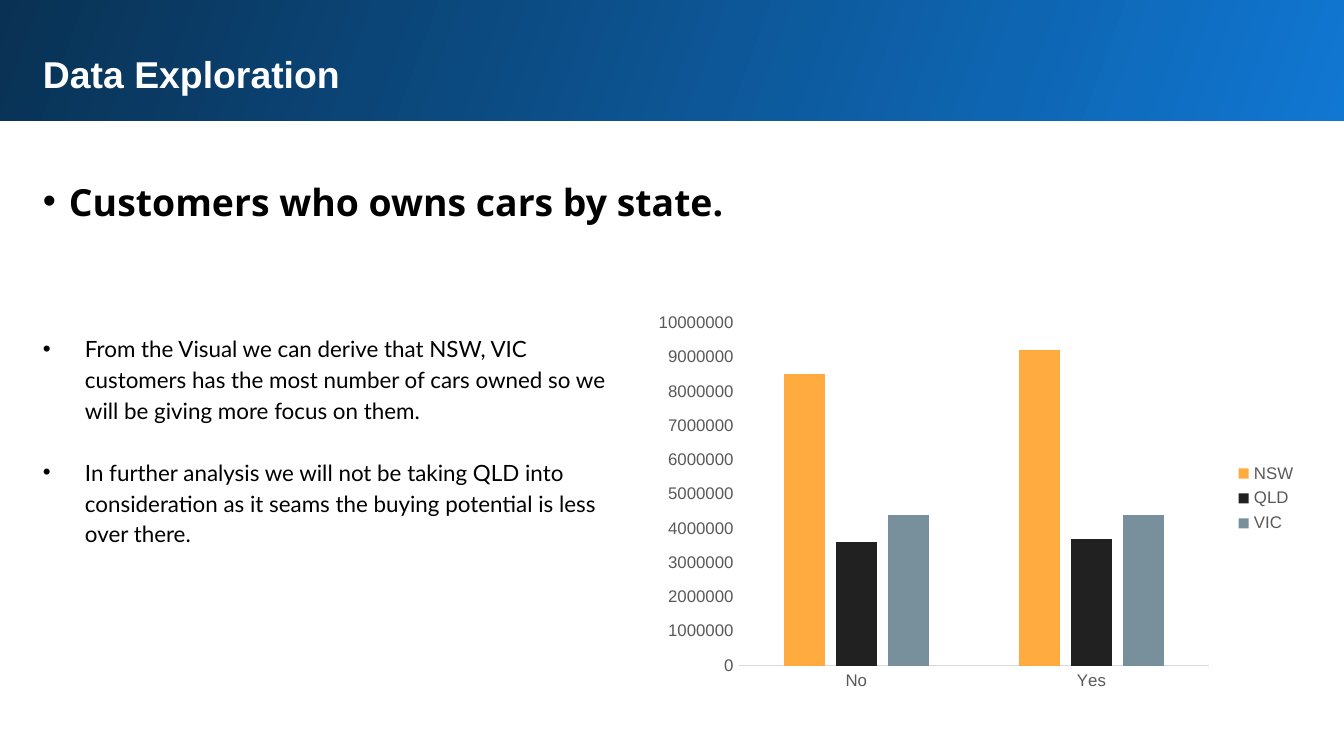
import pptx
import pptx.chart.data
import pptx.dml.color
import pptx.enum.chart
import pptx.enum.shapes
import pptx.oxml
import pptx.oxml.ns
import pptx.util
import lxml.etree

SCALE = 914400 / 134.4
COLORS = {
    "white": "FFFFFF", "black": "000000", "bright_blue": "1077D2", "navy": "093153",
    "label": "595959", "axis": "D9D9D9",
    "NSW": "FFAB40", "QLD": "212121", "VIC": "78909C",
}


def color(name):
    return pptx.dml.color.RGBColor.from_string(COLORS[name])


def add_text(box, lines, font_name, size, color_name, bold=False, indent=0, gap=0):
    shape = slide.shapes.add_textbox(*[round(value * SCALE) for value in box])
    frame = shape.text_frame
    frame.word_wrap = True
    frame.margin_left = frame.margin_right = round(13 * SCALE)
    frame.margin_top = frame.margin_bottom = round(13 * SCALE)
    for index, line in enumerate(lines):
        paragraph = frame.add_paragraph() if index else frame.paragraphs[0]
        paragraph.text = line
        paragraph.font.name = font_name
        paragraph.font.size = pptx.util.Pt(size)
        paragraph.font.bold = bold
        paragraph.font.color.rgb = color(color_name)
        if index:
            paragraph.space_before = pptx.util.Pt(gap)
        if indent:
            paragraph.line_spacing = 1.15
            properties = paragraph._p.get_or_add_pPr()
            properties.set("marL", str(round(indent * SCALE)))
            properties.set("indent", str(-round(indent * SCALE)))
            bullet_font = lxml.etree.Element(pptx.oxml.ns.qn("a:buFont"), typeface="Arial")
            bullet = lxml.etree.Element(pptx.oxml.ns.qn("a:buChar"), char="•")
            position = properties.index(properties.find(pptx.oxml.ns.qn("a:defRPr")))
            properties.insert(position, bullet_font)
            properties.insert(position + 1, bullet)


presentation = pptx.Presentation()
presentation.slide_width = round(1344 * SCALE)
presentation.slide_height = round(756 * SCALE)
slide = presentation.slides.add_slide(presentation.slide_layouts[6])

banner = slide.shapes.add_shape(
    pptx.enum.shapes.MSO_SHAPE.RECTANGLE,
    *[round(value * SCALE) for value in (-3, -3, 1351, 124)])
banner.shadow.inherit = False
banner.line.fill.background()
banner.fill.gradient()
banner.fill.gradient_angle = 160
for stop, name in zip(banner.fill.gradient_stops, ("bright_blue", "navy")):
    stop.color.rgb = color(name)

add_text((30, 159, 1259, 75), ["Customers who owns cars by state."],
         "Open Sans", 20, "black", bold=True, indent=26)
add_text((30, 318, 607, 321), [
    "From the Visual we can derive that NSW, VIC customers has the most number of cars "
    "owned so we will be giving more focus on them.",
    "In further analysis we will not be taking QLD into consideration as it seams the "
    "buying potential is less over there.",
], "Lato", 12, "black", indent=42, gap=16.6)
add_text((30, 38, 1259, 69), ["Data Exploration"], "Arial", 20, "white", bold=True)

chart_data = pptx.chart.data.CategoryChartData()
chart_data.categories = ["No", "Yes"]
for state, values in (
    ("NSW", (8500000, 9200000)),
    ("QLD", (3600000, 3700000)),
    ("VIC", (4400000, 4400000)),
):
    chart_data.add_series(state, values)
chart = slide.shapes.add_chart(
    pptx.enum.chart.XL_CHART_TYPE.COLUMN_CLUSTERED,
    *[round(value * SCALE) for value in (638, 297, 672, 403)], chart_data).chart
chart.has_title = False
chart.font.name = "Arial"
chart.font.size = pptx.util.Pt(10)
chart.font.color.rgb = color("black")

plot = chart.plots[0]
plot.gap_width = 219
plot.overlap = -27
plot.vary_by_categories = False
for series in plot.series:
    series.format.fill.solid()
    series.format.fill.fore_color.rgb = color(series.name)

chart.has_legend = True
chart.legend.position = pptx.enum.chart.XL_LEGEND_POSITION.RIGHT
chart.legend.include_in_layout = False
for part in (chart.category_axis, chart.value_axis):
    part.major_tick_mark = pptx.enum.chart.XL_TICK_MARK.NONE
    part.minor_tick_mark = pptx.enum.chart.XL_TICK_MARK.NONE
    part.has_major_gridlines = False
for font in (chart.category_axis.tick_labels.font, chart.value_axis.tick_labels.font,
             chart.legend.font):
    font.name = "Arial"
    font.size = pptx.util.Pt(9)
    font.color.rgb = color("label")
chart.category_axis.format.line.color.rgb = color("axis")
chart.category_axis.format.line.width = pptx.util.Pt(0.75)
chart.value_axis.format.line.fill.background()
chart.value_axis.minimum_scale = 0
chart.value_axis.maximum_scale = 10000000
chart.value_axis.major_unit = 1000000
chart.value_axis.tick_labels.number_format = "0"
chart.value_axis.tick_labels.number_format_is_linked = False

plot_area = chart._chartSpace.chart.plotArea
for old_layout in plot_area.findall(pptx.oxml.ns.qn("c:layout")):
    plot_area.remove(old_layout)
layout = lxml.etree.Element(pptx.oxml.ns.qn("c:layout"))
manual = lxml.etree.SubElement(layout, pptx.oxml.ns.qn("c:manualLayout"))
for tag, value in (
    ("layoutTarget", "inner"), ("xMode", "edge"), ("yMode", "edge"),
    ("x", "0.15"), ("y", "0.065"), ("w", "0.7"), ("h", "0.85"),
):
    lxml.etree.SubElement(manual, pptx.oxml.ns.qn("c:" + tag), val=value)
plot_area.insert(0, layout)

presentation.save("out.pptx")
